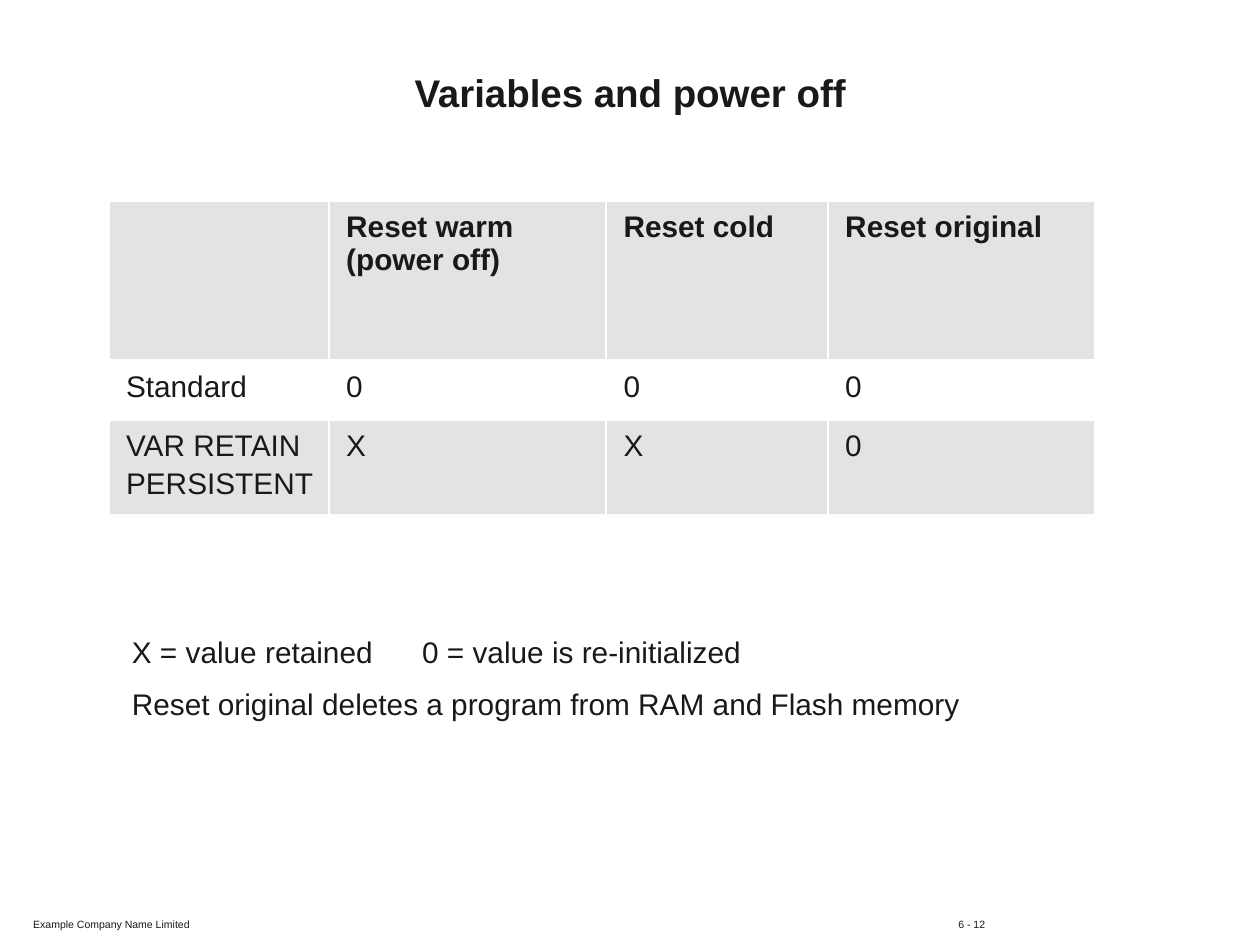
"""Build the slide on variables and power off, with a reset table and a legend."""
import dataclasses

import pptx
import pptx.dml.color
import pptx.enum.text
import pptx.oxml
import pptx.oxml.ns
import pptx.util

Cm = pptx.util.Cm
Pt = pptx.util.Pt
Anchor = pptx.enum.text.MSO_ANCHOR
Align = pptx.enum.text.PP_ALIGN


@dataclasses.dataclass(frozen=True)
class Theme:
    font: str = "Arial"
    ink: str = "191919"
    band: str = "E3E3E3"
    plain: str = "FFFFFF"
    title_size: int = 22
    body_size: int = 17
    footer_size: int = 6


THEME = Theme()

TITLE = "Variables and power off"
RESET_ROWS = [
    ["", "Reset warm\n(power off)", "Reset cold", "Reset original"],
    ["Standard", "0", "0", "0"],
    ["VAR RETAIN\nPERSISTENT", "X", "X", "0"],
]
LEGEND = (
    "X = value retained\t0 = value is re-initialized\n"
    "Reset original deletes a program from RAM and Flash memory"
)
FOOTER = "Example Company Name Limited\t6 - 12"

COLUMN_WIDTHS = [4.42, 5.59, 4.47, 5.38]
ROW_HEIGHTS = [3.22, 1.19, 1.89]


def write_text(frame, text, size=THEME.body_size, bold=False, align=Align.LEFT,
               gap=0, tab=None):
    """Fill a text frame with one paragraph per line of text."""
    for index, line in enumerate(text.split("\n")):
        para = frame.add_paragraph() if index else frame.paragraphs[0]
        para.alignment = align
        para.space_before = Pt(gap if index else 0)
        if tab:
            properties = para._p.get_or_add_pPr()
            stops = pptx.oxml.parse_xml(
                f'<a:tabLst {pptx.oxml.ns.nsdecls("a")}>'
                f'<a:tab pos="{Cm(tab)}" algn="l"/></a:tabLst>'
            )
            properties.append(stops)
        span = para.add_run()
        span.text = line
        span.font.name = THEME.font
        span.font.size = Pt(size)
        span.font.bold = bold
        span.font.color.rgb = pptx.dml.color.RGBColor.from_string(THEME.ink)


def add_text(page, text, left, top, width, height, anchor=Anchor.TOP, **style):
    """Add a wrapping text box at a place given in centimetres."""
    box = page.shapes.add_textbox(Cm(left), Cm(top), Cm(width), Cm(height))
    box.text_frame.word_wrap = True
    box.text_frame.vertical_anchor = anchor
    write_text(box.text_frame, text, **style)


def set_borders(cell, bottom):
    """Draw white borders round a cell, with its own bottom width in points."""
    properties = cell._tc.get_or_add_tcPr()
    widths = {"lnL": 1, "lnR": 1, "lnT": 1, "lnB": bottom}
    for index, (side, width) in enumerate(widths.items()):
        properties.insert(index, pptx.oxml.parse_xml(
            f'<a:{side} {pptx.oxml.ns.nsdecls("a")} w="{Pt(width)}"><a:solidFill>'
            f'<a:srgbClr val="{THEME.plain}"/></a:solidFill></a:{side}>'
        ))


def add_reset_table(page, left, top):
    """Add the table of what each reset does to the variables."""
    table = page.shapes.add_table(
        len(ROW_HEIGHTS), len(COLUMN_WIDTHS), Cm(left), Cm(top),
        Cm(sum(COLUMN_WIDTHS)), Cm(sum(ROW_HEIGHTS)),
    ).table
    for column, width in zip(table.columns, COLUMN_WIDTHS):
        column.width = Cm(width)
    for row, height in zip(table.rows, ROW_HEIGHTS):
        row.height = Cm(height)
    for row_index, texts in enumerate(RESET_ROWS):
        header = row_index == 0
        color = THEME.plain if row_index % 2 else THEME.band
        for column_index, text in enumerate(texts):
            cell = table.cell(row_index, column_index)
            cell.margin_left = Cm(0.35 if column_index else 0.33)
            cell.margin_right = Cm(0.25)
            cell.margin_top = cell.margin_bottom = Cm(0.18)
            cell.fill.solid()
            cell.fill.fore_color.rgb = pptx.dml.color.RGBColor.from_string(color)
            set_borders(cell, bottom=3 if header else 1)
            write_text(cell.text_frame, text, bold=header, gap=0 if header else 3)


def main():
    """Assemble the deck and save it."""
    deck = pptx.Presentation()
    deck.slide_width, deck.slide_height = Cm(25.4), Cm(19.05)
    page = deck.slides.add_slide(deck.slide_layouts[6])
    add_text(page, TITLE, 0.97, 1.22, 23.47, 1.27, anchor=Anchor.MIDDLE,
             size=THEME.title_size, bold=True, align=Align.CENTER)
    add_reset_table(page, 2.21, 4.06)
    add_text(page, LEGEND, 2.41, 12.65, 19.41, 2.08, gap=9.5, tab=5.85)
    add_text(page, FOOTER, 0.42, 18.38, 20.02, 0.48,
             size=THEME.footer_size, tab=18.65)
    deck.save("out.pptx")


if __name__ == "__main__":
    main()
